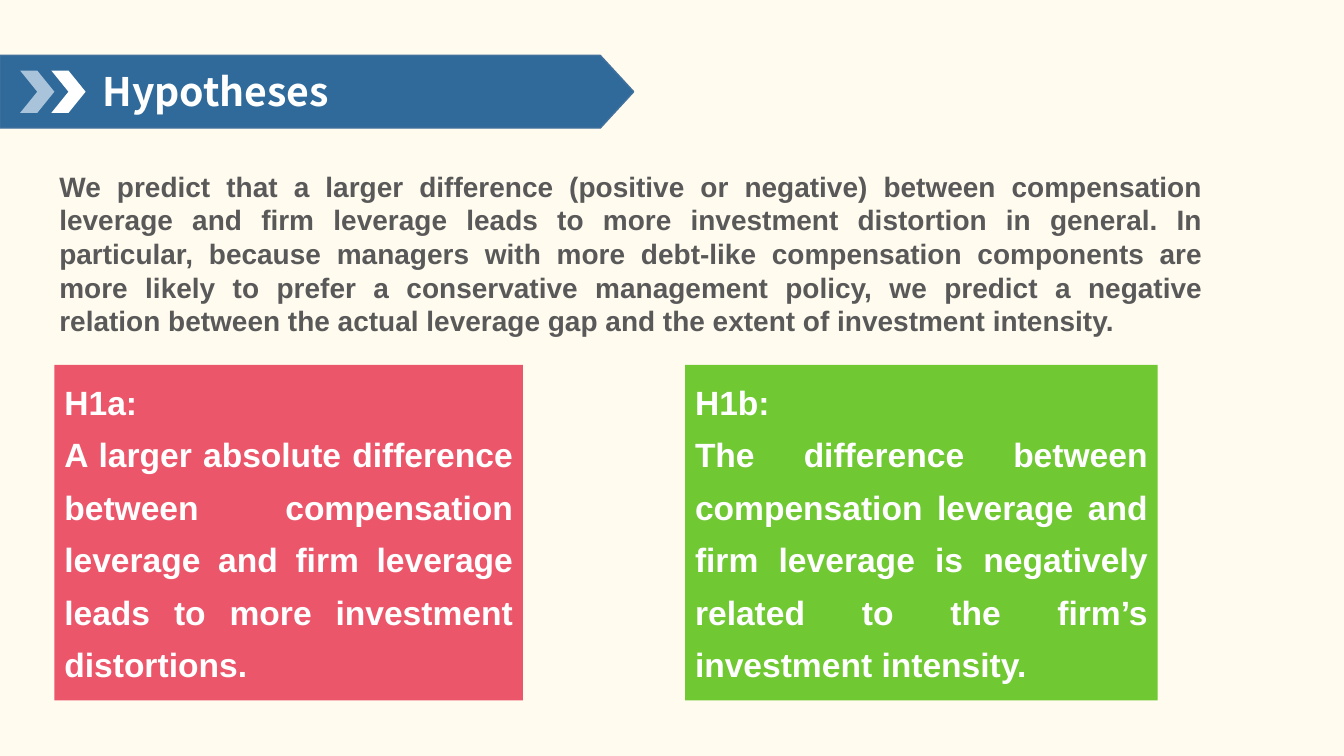
from dataclasses import dataclass

from pptx import Presentation
from pptx.dml.color import RGBColor
from pptx.enum import shapes, text
from pptx.util import Inches, Pt

COLORS = {
    "background": "FFFBEF",
    "banner": "306A9B",
    "banner_edge": "41719C",
    "pale_blue": "A9C3DB",
    "white": "FFFFFF",
    "red": "EC566B",
    "green": "70C833",
    "gray": "595959",
}


@dataclass(frozen=True)
class Box:
    left: float
    top: float
    width: float
    height: float

    def lengths(self) -> tuple:
        return tuple(map(Inches, (self.left, self.top, self.width, self.height)))


@dataclass(frozen=True)
class TextStyle:
    size: int
    color: str
    font: str = "Arial"
    line_spacing: float = 1.0
    alignment: text.PP_ALIGN = text.PP_ALIGN.JUSTIFY
    anchor: text.MSO_ANCHOR = text.MSO_ANCHOR.TOP


@dataclass(frozen=True)
class Hypothesis:
    label: str
    statement: str
    color: str
    left: float
    width: float


TITLE_STYLE = TextStyle(28, "white", "Noto Sans CJK SC", 0.9,
                        text.PP_ALIGN.LEFT, text.MSO_ANCHOR.MIDDLE)
INTRO_STYLE = TextStyle(20, "gray")
HYPOTHESIS_STYLE = TextStyle(24, "white", line_spacing=1.3)

INTRO = (
    "We predict that a larger difference (positive or negative) between "
    "compensation leverage and firm leverage leads to more investment "
    "distortion in general. In particular, because managers with more "
    "debt-like compensation components are more likely to prefer a "
    "conservative management policy, we predict a negative relation between "
    "the actual leverage gap and the extent of investment intensity."
)
HYPOTHESES = (
    Hypothesis(
        "H1a:",
        "A larger absolute difference between compensation leverage and firm "
        "leverage leads to more investment distortions.",
        "red", 0.54, 4.65),
    Hypothesis(
        "H1b:",
        "The difference between compensation leverage and firm leverage is "
        "negatively related to the firm’s investment intensity.",
        "green", 6.8, 4.69),
)


def rgb(name: str) -> RGBColor:
    return RGBColor.from_string(COLORS[name])


def add_filled_shape(slide, kind: shapes.MSO_SHAPE, box: Box, color: str):
    shape = slide.shapes.add_shape(kind, *box.lengths())
    shape.shadow.inherit = False
    shape.fill.solid()
    shape.fill.fore_color.rgb = rgb(color)
    shape.line.fill.background()
    return shape


def write(shape, content: str, style: TextStyle) -> None:
    """Fill a shape with bold text, one paragraph per line of content."""
    frame = shape.text_frame
    frame.word_wrap = True
    frame.vertical_anchor = style.anchor
    frame.text = content
    for paragraph in frame.paragraphs:
        paragraph.alignment = style.alignment
        paragraph.line_spacing = style.line_spacing
        for run in paragraph.runs:
            run.font.name = style.font
            run.font.size = Pt(style.size)
            run.font.bold = True
            run.font.color.rgb = rgb(style.color)


def add_title_banner(slide) -> None:
    banner = add_filled_shape(slide, shapes.MSO_SHAPE.PENTAGON,
                              Box(0, 0.55, 6.29, 0.72), "banner")
    banner.adjustments[0] = 0.46
    banner.line.color.rgb = rgb("banner_edge")
    banner.line.width = Pt(1)

    for left, color in ((0.2, "pale_blue"), (0.51, "white")):
        add_filled_shape(slide, shapes.MSO_SHAPE.CHEVRON,
                         Box(left, 0.7, 0.34, 0.42), color)

    title = slide.shapes.add_textbox(*Box(0.92, 0.58, 5.13, 0.71).lengths())
    write(title, "Hypotheses", TITLE_STYLE)


def add_hypothesis(slide, hypothesis: Hypothesis) -> None:
    card = add_filled_shape(slide, shapes.MSO_SHAPE.RECTANGLE,
                            Box(hypothesis.left, 3.62, hypothesis.width, 3.33),
                            hypothesis.color)
    write(card, f"{hypothesis.label}\n{hypothesis.statement}", HYPOTHESIS_STYLE)


def main() -> None:
    presentation = Presentation()
    presentation.slide_width = Inches(13.34)
    presentation.slide_height = Inches(7.5)
    slide = presentation.slides.add_slide(presentation.slide_layouts[6])
    slide.background.fill.solid()
    slide.background.fill.fore_color.rgb = rgb("background")

    add_title_banner(slide)
    for hypothesis in HYPOTHESES:
        add_hypothesis(slide, hypothesis)
    intro = slide.shapes.add_textbox(*Box(0.49, 1.63, 11.55, 1.77).lengths())
    write(intro, INTRO, INTRO_STYLE)

    presentation.save("out.pptx")


if __name__ == "__main__":
    main()
